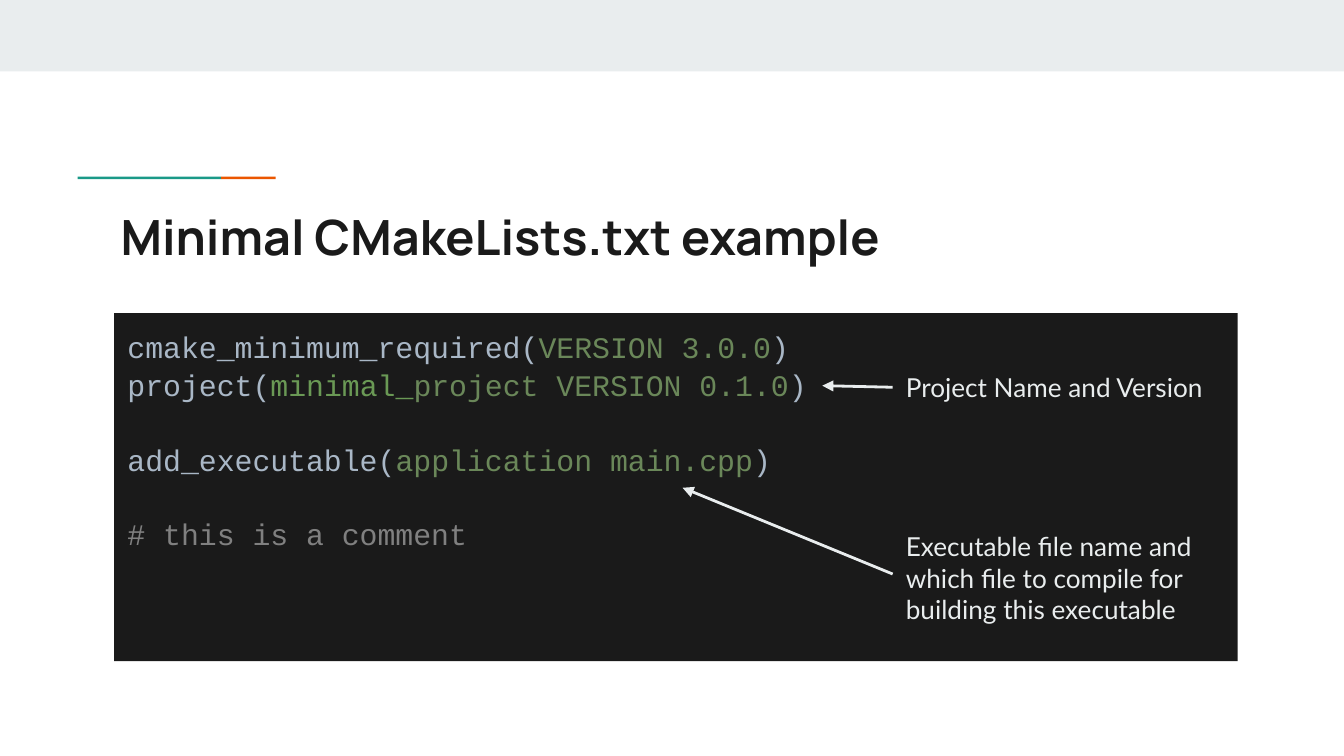
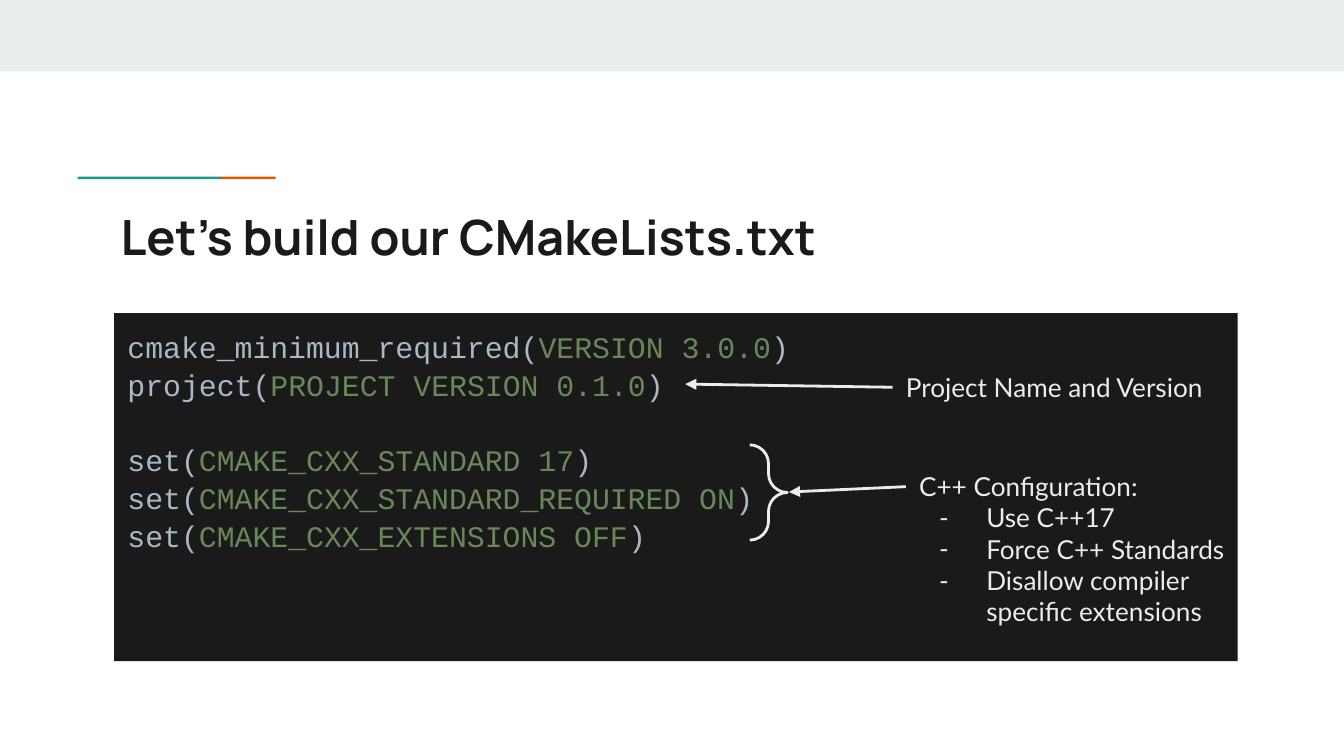
from dataclasses import dataclass

from lxml.etree import SubElement
from pptx import Presentation
from pptx.dml.color import RGBColor
from pptx.enum.shapes import MSO_CONNECTOR, MSO_SHAPE
from pptx.enum.text import MSO_ANCHOR, PP_ALIGN
from pptx.oxml.ns import qn
from pptx.util import Cm, Pt


@dataclass(frozen=True)
class Theme:
    ink: str = "1A1A1A"
    pale: str = "E9EDEE"
    teal: str = "1A9988"
    orange: str = "EB5600"
    command: str = "A9B7C6"
    argument: str = "6A8759"
    name: str = "6A9955"
    comment: str = "808080"
    title_size: int = 26
    code_size: int = 16
    note_size: int = 14
    line_width: float = 1.5


theme = Theme()
TITLE = {"name": "Manrope", "size": Pt(theme.title_size), "bold": True}
CODE = {"name": "Courier New", "size": Pt(theme.code_size)}
NOTE = {"name": "Lato", "size": Pt(theme.note_size)}
CODE_SPACING = 1.07
CODE_GAP = Pt(19.3)  # height of one skipped code line


def add_block(page, kind, place, fill=None, line=None):
    shape = page.shapes.add_shape(kind, *map(Cm, place))
    shape.shadow.inherit = False
    if fill:
        shape.fill.solid()
        shape.fill.fore_color.rgb = RGBColor.from_string(fill)
    else:
        shape.fill.background()
    if line:
        shape.line.color.rgb = RGBColor.from_string(line)
        shape.line.width = Pt(theme.line_width)
    else:
        shape.line.fill.background()
    return shape


def write(shape, paragraphs, font_format):
    """Fill a shape with paragraphs, each a list of (text, colour) spans; return them."""
    frame = shape.text_frame
    frame.word_wrap = True
    frame.vertical_anchor = MSO_ANCHOR.TOP
    for side in ("left", "top", "right", "bottom"):
        setattr(frame, f"margin_{side}", Cm(0.25))
    for index, spans in enumerate(paragraphs):
        para = frame.paragraphs[0] if index == 0 else frame.add_paragraph()
        para.alignment = PP_ALIGN.LEFT
        for text, colour in spans:
            span = para.add_run()
            span.text = text
            span.font.color.rgb = RGBColor.from_string(colour)
            for attribute, value in font_format.items():
                setattr(span.font, attribute, value)
    return frame.paragraphs


# Each code line is (command, arguments); each group follows a skipped line.
version_line = ("cmake_minimum_required", [("VERSION 3.0.0", theme.argument)])
project_note = {
    "place": (16.87, 6.78, 6.27, 1.12),
    "lines": ["Project Name and Version"],
}
slides = [
    {
        "title": "Minimal CMakeLists.txt example",
        "code": [
            [
                version_line,
                ("project", [("minimal_", theme.name),
                             ("project VERSION 0.1.0", theme.argument)]),
            ],
            [("add_executable", [("application main.cpp", theme.argument)])],
            [("# this is a comment", None)],
        ],
        "notes": [
            project_note,
            {
                "place": (16.87, 9.78, 6.27, 2.16),
                "lines": ["Executable file name and which file to compile "
                          "for building this executable"],
            },
        ],
        "arrows": [(16.87, 7.32, 15.54, 7.29), (16.87, 10.85, 12.9, 9.22)],
        "braces": [],
    },
    {
        "title": "Let’s build our CMakeLists.txt",
        "code": [
            [version_line, ("project", [("PROJECT VERSION 0.1.0", theme.argument)])],
            [
                ("set", [(setting, theme.argument)])
                for setting in (
                    "CMAKE_CXX_STANDARD 17",
                    "CMAKE_CXX_STANDARD_REQUIRED ON",
                    "CMAKE_CXX_EXTENSIONS OFF",
                )
            ],
        ],
        "notes": [
            project_note,
            {
                "place": (17.12, 8.64, 6.58, 1.12),
                "lines": ["C++ Configuration:", "Use C++17", "Force C++ Standards",
                          "Disallow compiler specific extensions"],
            },
        ],
        "arrows": [(16.87, 7.32, 12.95, 7.26), (17.12, 9.2, 14.91, 9.3)],
        "braces": [(14.17, 8.41, 0.71, 1.8)],
    },
]

deck = Presentation()
deck.slide_width, deck.slide_height = Cm(25.4), Cm(14.29)

for content in slides:
    page = deck.slides.add_slide(deck.slide_layouts[6])

    for place, colour in (
        ((0, 0, 25.4, 1.35), theme.pale),
        ((1.47, 3.34, 2.71, 0.05), theme.teal),
        ((4.18, 3.34, 1.03, 0.05), theme.orange),
    ):
        add_block(page, MSO_SHAPE.RECTANGLE, place, fill=colour)

    title_box = page.shapes.add_textbox(Cm(2.03), Cm(3.66), Cm(21.36), Cm(1.5))
    write(title_box, [[(content["title"], theme.ink)]], TITLE)

    code_lines, group_starts = [], []
    for group in content["code"]:
        group_starts.append(len(code_lines))
        for command, arguments in group:
            if arguments:
                code_lines.append([(command + "(", theme.command), *arguments,
                                   (")", theme.command)])
            else:
                code_lines.append([(command, theme.comment)])
    code_panel = add_block(page, MSO_SHAPE.RECTANGLE, (2.16, 5.92, 21.23, 6.58),
                           fill=theme.ink)
    code_paragraphs = write(code_panel, code_lines, CODE)
    for para in code_paragraphs:
        para.line_spacing = CODE_SPACING
    for start in group_starts[1:]:
        code_paragraphs[start].space_before = CODE_GAP

    for note in content["notes"]:
        note_box = page.shapes.add_textbox(*map(Cm, note["place"]))
        note_lines = [[(line, theme.pale)] for line in note["lines"]]
        for para in write(note_box, note_lines, NOTE)[1:]:
            properties = para._p.get_or_add_pPr()
            properties.set("marL", str(Cm(1.27)))
            properties.set("indent", str(Cm(-0.89)))
            bullet_colour = SubElement(properties, qn("a:buClr"))
            SubElement(bullet_colour, qn("a:srgbClr"), val=theme.pale)
            SubElement(properties, qn("a:buFont"), typeface=NOTE["name"])
            SubElement(properties, qn("a:buChar"), char="-")

    for ends in content["arrows"]:
        arrow = page.shapes.add_connector(MSO_CONNECTOR.STRAIGHT, *map(Cm, ends))
        arrow.line.color.rgb = RGBColor.from_string(theme.pale)
        arrow.line.width = Pt(theme.line_width)
        SubElement(arrow.line._get_or_add_ln(), qn("a:tailEnd"), type="triangle")
        SubElement(arrow._element.spPr, qn("a:effectLst"))

    for place in content["braces"]:
        brace = add_block(page, MSO_SHAPE.RIGHT_BRACE, place, line=theme.pale)
        brace.adjustments[0] = brace.adjustments[1] = 0.5

deck.save("out.pptx")
